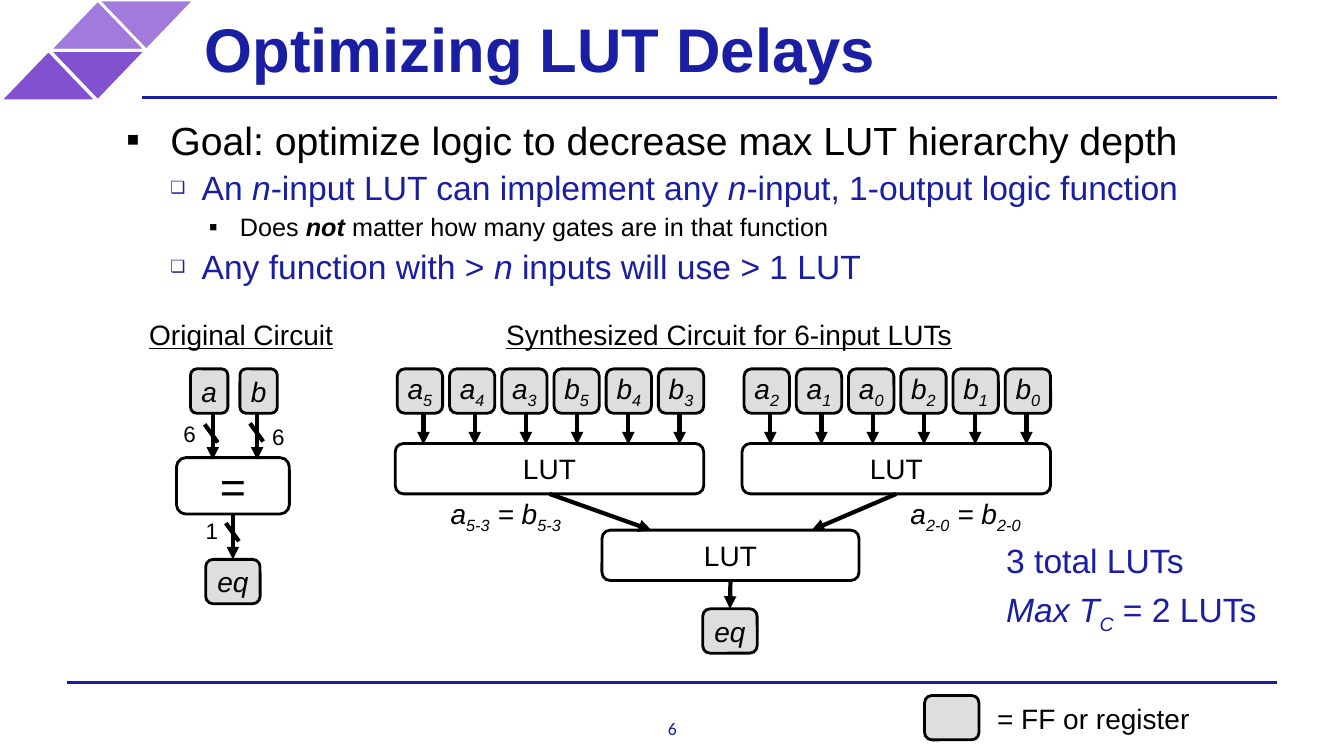
from lxml.etree import SubElement
from pptx import Presentation
from pptx.dml.color import RGBColor
from pptx.enum.shapes import MSO_CONNECTOR as Connector, MSO_SHAPE as Preset
from pptx.enum.text import MSO_ANCHOR as Anchor, PP_ALIGN as Align
from pptx.oxml.ns import qn
from pptx.util import Inches, Pt

color = RGBColor.from_string
BLUE, BLACK, WHITE, GREY = "191EA2", "000000", "FFFFFF", "DCDEE0"
LIGHT_PURPLE, PURPLE = "A07BDB", "8151CF"

deck = Presentation()
deck.slide_width, deck.slide_height = Inches(13.33), Inches(7.5)
page = deck.slides.add_slide(deck.slide_layouts[6])


def add_box(at, paragraphs, size=20, ink=BLACK, fill=None, font="Arial", inset=0.06):
    """Add a rounded box, or a plain text box without fill.

    Each paragraph is a list of (text, style) spans; the style letters are
    b bold, i italic, u underlined, s subscript.
    """
    place = [Inches(value) for value in at]
    if fill:
        box = page.shapes.add_shape(Preset.ROUNDED_RECTANGLE, *place)
        box.shadow.inherit = False
        box.fill.solid()
        box.fill.fore_color.rgb = color(fill)
        box.line.color.rgb = color(BLACK)
        box.line.width = Pt(2)
    else:
        box = page.shapes.add_textbox(*place)
    frame = box.text_frame
    frame.word_wrap = True
    frame.vertical_anchor = Anchor.MIDDLE
    frame.margin_left = frame.margin_right = Inches(inset)
    frame.margin_top = frame.margin_bottom = Inches(inset)
    for index, spans in enumerate(paragraphs):
        para = frame.add_paragraph() if index else frame.paragraphs[0]
        para.alignment = Align.CENTER if fill else Align.LEFT
        for text, style in spans:
            span = para.add_run()
            span.text = text
            span.font.name = font
            span.font.size = Pt(size)
            span.font.color.rgb = color(ink)
            span.font.bold = "b" in style
            span.font.italic = "i" in style
            span.font.underline = "u" in style
            if "s" in style:
                span._r.get_or_add_rPr().set("baseline", "-25000")
    return box


def add_line(x1, y1, x2, y2, ink=BLACK, width=3, arrow=False):
    line = page.shapes.add_connector(
        Connector.STRAIGHT, Inches(x1), Inches(y1), Inches(x2), Inches(y2))
    line.line.color.rgb = color(ink)
    line.line.width = Pt(width)
    if arrow:
        SubElement(line.line._get_or_add_ln(), qn("a:tailEnd"), type="triangle")
    SubElement(line._element.spPr, qn("a:effectLst"))
    return line


# Frame: rules, corner triangles, title and page number
add_line(0.66, 6.77, 12.67, 6.77, BLUE, 2)
corner = page.shapes.add_group_shape()
for left, top, turn, fill in [
    (0.97, 0, 180, LIGHT_PURPLE),
    (0.49, 0, 0, LIGHT_PURPLE),
    (0.49, 0.5, 180, PURPLE),
    (0, 0.5, 0, PURPLE),
]:
    triangle = corner.shapes.add_shape(
        Preset.ISOSCELES_TRIANGLE, Inches(left), Inches(top), Inches(0.96), Inches(0.5))
    triangle.rotation = turn
    triangle.shadow.inherit = False
    triangle.fill.solid()
    triangle.fill.fore_color.rgb = color(fill)
    triangle.line.color.rgb = color(WHITE)
    triangle.line.width = Pt(2)
add_line(1.41, 0.97, 12.67, 0.97, BLUE, 2)
add_box((1.89, 0, 10.08, 0.95), [[("Optimizing LUT Delays", "b")]], 44, BLUE, inset=0.14)
number = add_box((6.47, 7.12, 0.4, 0.21), [[("6", "")]], 12.7, BLUE, font="Calibri", inset=0)
number.text_frame.paragraphs[0].alignment = Align.CENTER

# Bulleted text
points = [
    (0, [("Goal: optimize logic to decrease max LUT hierarchy depth", "")]),
    (1, [("An ", ""), ("n", "i"), ("-input LUT can implement any ", ""),
         ("n", "i"), ("-input, 1-output logic function", "")]),
    (2, [("Does ", ""), ("not", "bi"), (" matter how many gates are in that function", "")]),
    (1, [("Any function with > ", ""), ("n", "i"), (" inputs will use > 1 LUT", "")]),
]
# For each level: size, colour, margin, hanging indent, space before, bullet, bullet percent
levels = [
    (28, BLACK, 0.5, 0.44, 6, "▪", 100),
    (24, BLUE, 0.81, 0.31, 3, "❑", 50),
    (18, BLACK, 1.19, 0.31, 3, "▪", 100),
]
body = add_box((1.19, 1.15, 11.61, 2.43), [spans for level, spans in points], inset=0)
body.text_frame.vertical_anchor = Anchor.TOP
for para, (level, spans) in zip(body.text_frame.paragraphs, points):
    size, ink, margin, hang, before, bullet, percent = levels[level]
    para.level = level
    para.space_before = Pt(before)
    for span in para.runs:
        span.font.size = Pt(size)
        span.font.color.rgb = color(ink)
    props = para._p.get_or_add_pPr()
    props.set("marL", str(Inches(margin)))
    props.set("indent", str(-Inches(hang)))
    SubElement(props, qn("a:buSzPct"), val=str(percent * 1000))
    SubElement(props, qn("a:buFont"), typeface="Arial")
    SubElement(props, qn("a:buChar"), char=bullet)

# Headings, result and legend
add_box((1.42, 3.09, 1.97, 0.45), [[("Original Circuit", "u")]])
add_box((4.96, 3.09, 4.65, 0.45), [[("Synthesized Circuit for 6-input LUTs", "u")]])
result = add_box((9.92, 4.88, 3.2, 1.9), [
    [("3 total LUTs", "")],
    [("Max T", "i"), ("C", "is"), (" = 2 LUTs", "")],
], 24, BLUE)
for para in result.text_frame.paragraphs:
    para.space_before = Pt(6)
add_box((9.17, 6.9, 0.54, 0.44), [], fill=GREY)
add_box((9.83, 6.9, 2.36, 0.45), [[("= FF or register", "")]])

# Original circuit
equals = add_box((1.75, 4.54, 1.12, 0.56), [[("=", "")]], 32, fill=WHITE)
original_eq = add_box((2.04, 5.55, 0.54, 0.44), [[("eq", "i")]], fill=GREY)
for name, left, wire in [("a", 1.89, 2.11), ("b", 2.38, 2.55)]:
    add_line(wire, 4.1, wire, 4.56, arrow=True)
    add_box((left, 3.66, 0.37, 0.44), [[(name, "i")]], fill=GREY)
output = add_line(2.31, 5.1, 2.31, 5.55, arrow=True)
output.begin_connect(equals, 2)
output.end_connect(original_eq, 0)
for bits, left, top, slash_x, slash_y in [
    ("6", 1.76, 4.11, 2.03, 4.21),
    ("6", 2.64, 4.14, 2.48, 4.2),
    ("1", 1.98, 5.07, 2.24, 5.19),
]:
    add_line(slash_x, slash_y, slash_x + 0.13, slash_y + 0.18)
    add_box((left, top, 0.37, 0.38), [[(bits, "")]], 16)

# Synthesized circuit
final_lut = add_box((5.97, 5.26, 2.55, 0.5), [[("LUT", "")]], fill=WHITE)
final_eq = add_box((6.97, 6.04, 0.54, 0.44), [[("eq", "i")]], fill=GREY)
output = add_line(7.24, 5.76, 7.24, 6.04, arrow=True)
output.begin_connect(final_lut, 2)
output.end_connect(final_eq, 0)
for lut_left, digits, tip, label_left in [(3.92, "543", 6.46, 4.41), (7.36, "210", 8.05, 8.97)]:
    lut = add_box((lut_left, 4.4, 3.06, 0.5), [[("LUT", "")]], fill=WHITE)
    inputs = [(name, digit) for name in "ab" for digit in digits]
    for index, (name, digit) in enumerate(inputs):
        wire = lut_left + 0.28 + 0.508 * index
        add_line(wire, 4.11, wire, 4.41, arrow=True)
        add_box((lut_left + 0.02 + 0.518 * index, 3.66, 0.45, 0.44),
                [[(name, "i"), (digit, "is")]], fill=GREY)
    add_line(lut_left + 1.53, 4.9, tip, 5.26, arrow=True).begin_connect(lut, 2)
    bits = f"{digits[0]}-{digits[-1]}"
    add_box((label_left, 4.89, 1.33, 0.45),
            [[("a", "i"), (bits, "is"), (" = b", "i"), (bits, "is")]])

deck.save("out.pptx")
